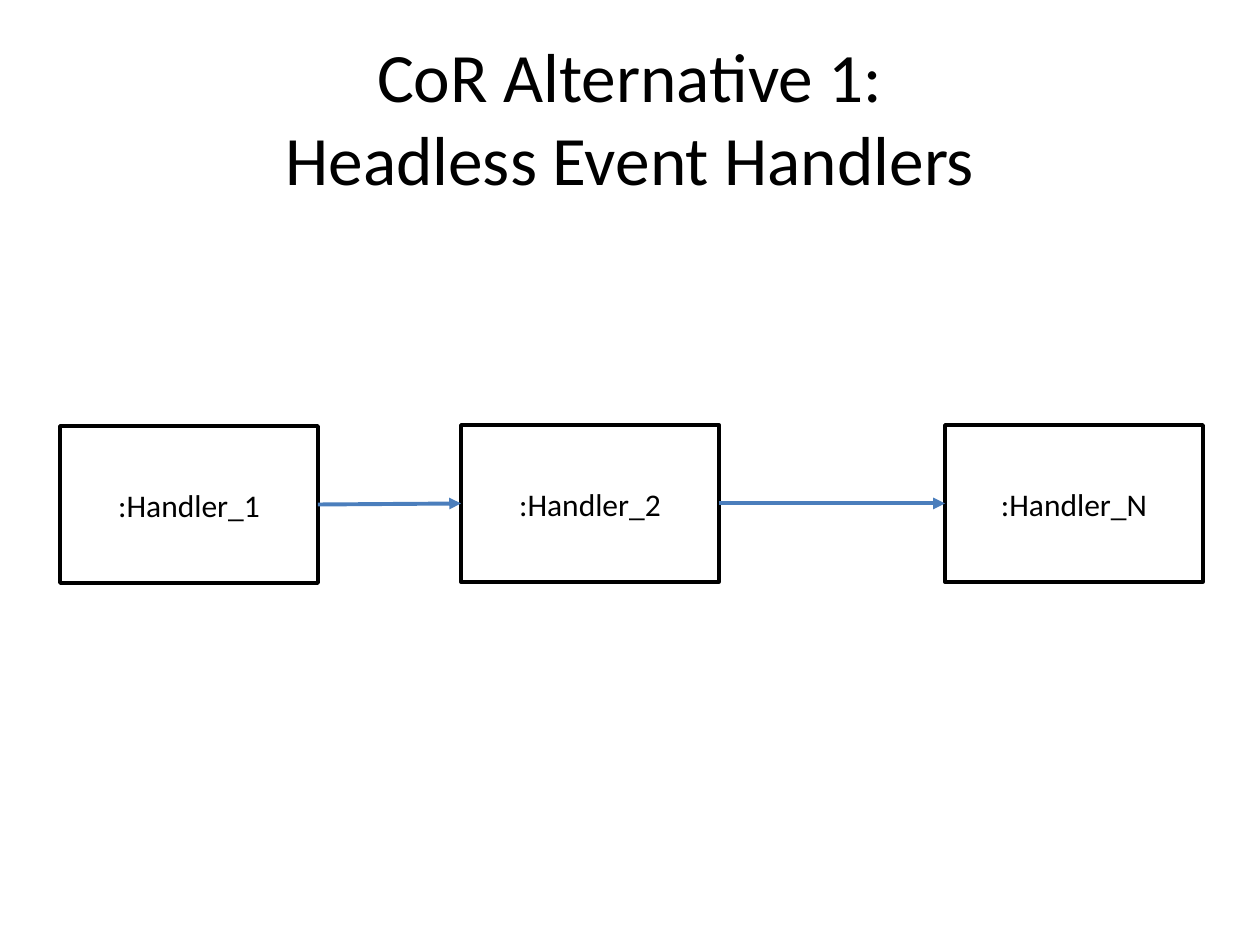
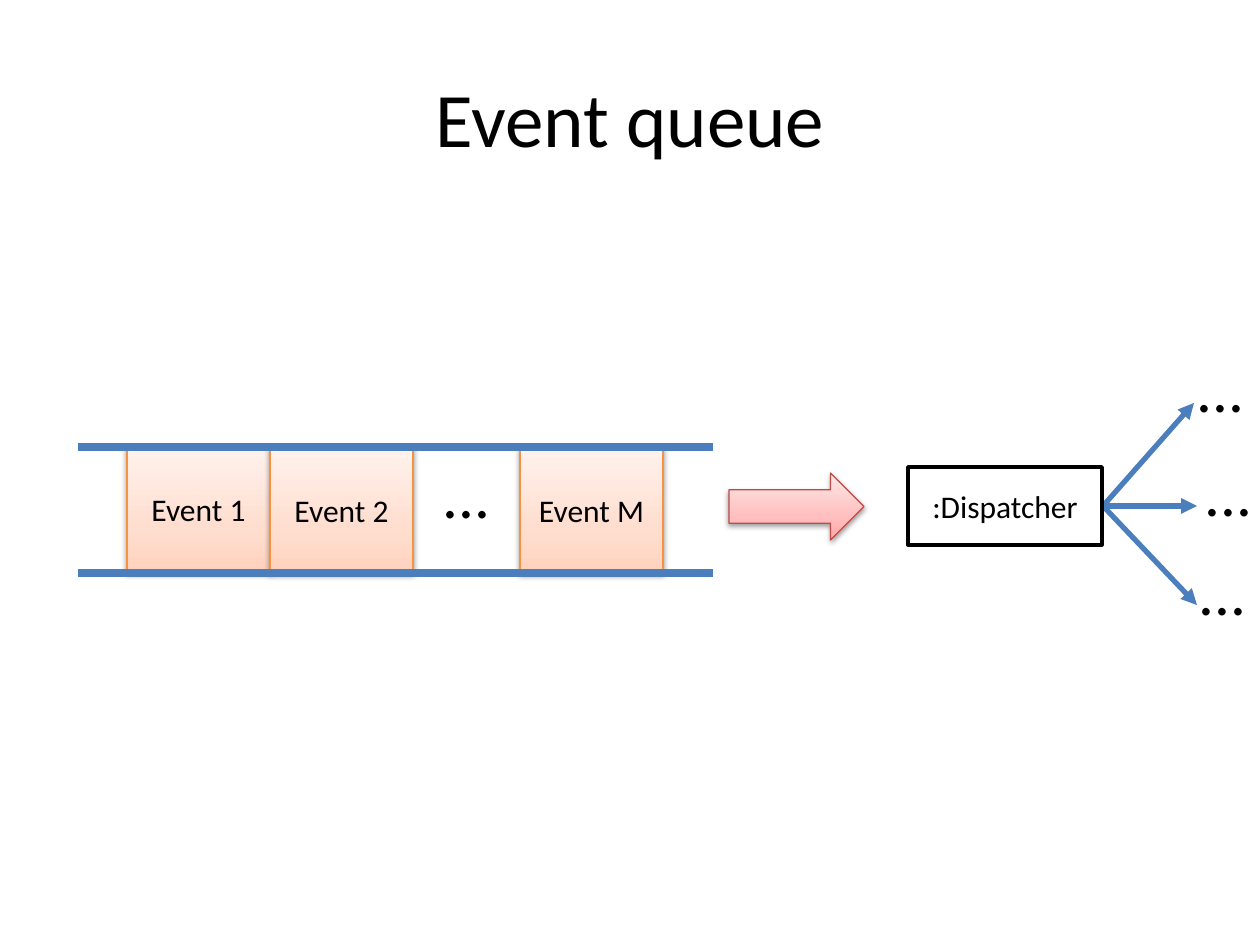
from dataclasses import dataclass

from lxml import etree
from pptx import Presentation
from pptx.dml.color import RGBColor
from pptx.enum.shapes import MSO_CONNECTOR, MSO_SHAPE
from pptx.enum.text import MSO_ANCHOR, MSO_AUTO_SIZE, PP_ALIGN
from pptx.oxml.ns import qn
from pptx.util import Pt

RECT, ARROW = MSO_SHAPE.RECTANGLE, MSO_SHAPE.RIGHT_ARROW
LINE = MSO_CONNECTOR.STRAIGHT
MIDDLE, TOP = MSO_ANCHOR.MIDDLE, MSO_ANCHOR.TOP
CENTER, LEFT = PP_ALIGN.CENTER, PP_ALIGN.LEFT
FIXED, GROW = MSO_AUTO_SIZE.NONE, MSO_AUTO_SIZE.SHAPE_TO_FIT_TEXT
EAST, WEST = 3, 1  # connection sites of a rectangle
SCALE = 914400 / 126


@dataclass(frozen=True)
class Theme:
    font: str = "Calibri"
    ink: str = "000000"
    paper: str = "FFFFFF"
    blue: str = "4B7EBC"
    orange: str = "F69240"
    red: str = "BF4C48"
    peach: tuple = ((0, "FFD2BD"), (35, "FFDED0"), (100, "FFF2ED"))
    rose: tuple = ((0, "FFA6A5"), (35, "FFC0BF"), (100, "FFE7E7"))
    title: float = 44
    small: float = 39.6
    label: float = 18
    dots: float = 36


THEME = Theme()


def px(*nums):
    return [round(n * SCALE) for n in nums]


def rgb(code):
    return RGBColor.from_string(code)


def apply(item, form):
    for name, value in form.items():
        setattr(item, name, value)


def node(parent, tag, **attrs):
    return etree.SubElement(parent, qn(tag), attrs)


def write(shape, text, size, align=CENTER, anchor=MIDDLE, wrap=True, fit=FIXED):
    frame = shape.text_frame
    frame.text = text
    apply(frame, {"vertical_anchor": anchor, "word_wrap": wrap, "auto_size": fit})
    for para in frame.paragraphs:
        para.alignment = align
        for run in para.runs:
            apply(run.font, {"name": THEME.font, "size": Pt(size)})
            run.font.color.rgb = rgb(THEME.ink)


def stroke(line, color, width):
    line.color.rgb = rgb(color)
    line.width = Pt(width)


def add_page(deck, text, size=THEME.title):
    page = deck.slides.add_slide(deck.slide_layouts[5])
    title = page.shapes.title
    spot = px(63, 38, 1134, 157)
    apply(title, dict(zip(("left", "top", "width", "height"), spot)))
    write(title, text, size)
    return page


def add_box(page, text, *spot):
    box = page.shapes.add_shape(RECT, *px(*spot))
    box.shadow.inherit = False
    box.fill.solid()
    box.fill.fore_color.rgb = rgb(THEME.paper)
    stroke(box.line, THEME.ink, 2)
    write(box, text, THEME.label)
    return box


def add_glow(page, kind, spot, stops, edge):
    """Shape with a vertical gradient and a soft shadow below."""
    shape = page.shapes.add_shape(kind, *px(*spot))
    shape.fill.gradient()
    shape.fill.gradient_angle = 90
    stroke(shape.line, edge, 0.75)
    shape.shadow.inherit = False
    props = shape._element.spPr
    ramp = props.find(".//" + qn("a:gsLst"))
    for old in list(ramp):
        ramp.remove(old)
    for place, color in stops:
        stop = node(ramp, "a:gs", pos=str(place * 1000))
        node(stop, "a:srgbClr", val=color)
    shade = node(props.find(qn("a:effectLst")), "a:outerShdw", blurRad="40000",
                 dist="20000", dir="5400000", rotWithShape="0")
    tint = node(shade, "a:srgbClr", val=THEME.ink)
    node(tint, "a:alpha", val="38000")
    return shape


def add_line(page, ends, width, head=False):
    line = page.shapes.add_connector(LINE, *px(*ends))
    stroke(line.line, THEME.blue, width)
    if head:
        node(line.line._get_or_add_ln(), "a:tailEnd", type="triangle")
    node(line._element.spPr, "a:effectLst")
    return line


def add_dots(page, left, top):
    box = page.shapes.add_textbox(*px(left, top, 74, 89))
    write(box, "...", THEME.dots, LEFT, TOP, False, GROW)


def draw_chain(deck):
    page = add_page(deck, "CoR Alternative 1:\vHeadless Event Handlers", THEME.small)
    # Handlers, each linked to the next
    spots = (("1", 60, 426), ("2", 461, 425), ("N", 945, 425))
    boxes = [add_box(page, f":Handler_{mark}", left, top, 258, 157)
             for mark, left, top in spots]
    for start, end in zip(boxes, boxes[1:]):
        link = add_line(page, (0, 0, 0, 0), 2.25, True)
        link.begin_connect(start, EAST)
        link.end_connect(end, WEST)


def draw_queue(deck):
    page = add_page(deck, "Event queue")
    # Queued events between two rails
    for mark, left, top in (("1", 127, 446), ("2", 270, 447), ("M", 520, 447)):
        event = add_glow(page, RECT, (left, top, 143, 126), THEME.peach, THEME.orange)
        write(event, f"Event {mark}", THEME.label)
    for y in (447, 573):
        add_line(page, (78, y, 713, y), 4.5)
    add_dots(page, 430, 449)

    # Flow into the dispatcher
    add_glow(page, ARROW, (729, 473, 135, 67), THEME.rose, THEME.red)

    # Fan-out to the handlers
    for x, y in ((1197, 605), (1197, 506), (1194, 403)):
        add_line(page, (1103, 506, x, y), 3, True)
    for left, top in ((1186, 546), (1192, 447), (1184, 343)):
        add_dots(page, left, top)
    add_box(page, ":Dispatcher", 908, 467, 194, 78)


def main():
    deck = Presentation()
    deck.slide_width, deck.slide_height = px(1260, 945)
    draw_chain(deck)
    draw_queue(deck)
    deck.save("out.pptx")


main()
